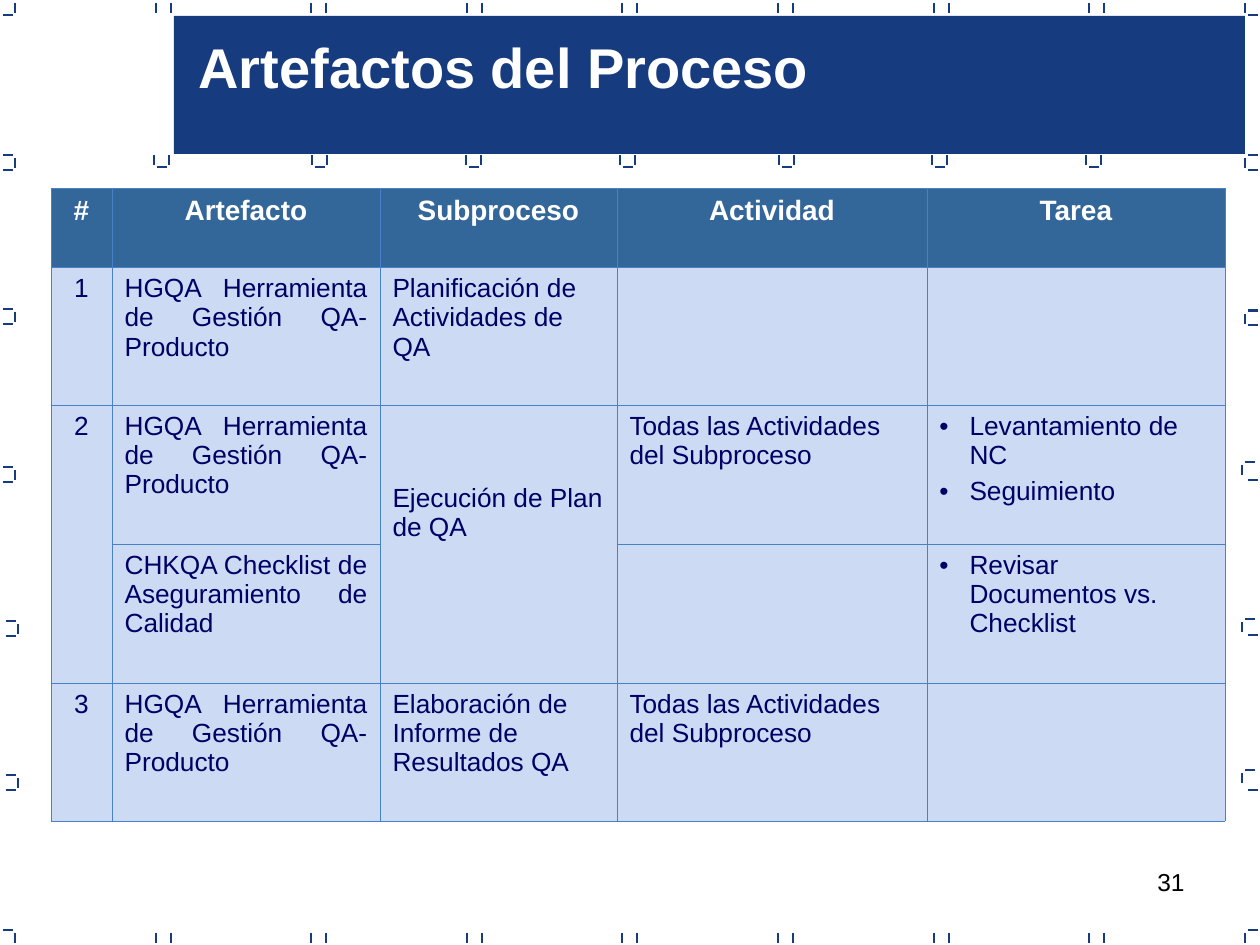
from dataclasses import dataclass
from itertools import product
from typing import NamedTuple

from lxml.etree import SubElement
from pptx import Presentation
from pptx.dml.color import RGBColor as Rgb
from pptx.enum.shapes import MSO_CONNECTOR as Connector, MSO_SHAPE as Shape
from pptx.enum.text import PP_ALIGN as Align
from pptx.oxml.ns import qn
from pptx.util import Emu, Pt

EMU_PER_PX = 914400 / 126


@dataclass(frozen=True)
class Theme:
    font: str = "Arial"
    navy: str = "163B7F"
    header: str = "336699"
    body: str = "CDDAF3"
    border: str = "4782C9"
    ink: str = "000066"
    white: str = "FFFFFF"
    black: str = "000000"
    title_size: int = 32
    header_size: int = 16
    body_size: int = 15
    number_size: int = 14
    mark_width: float = 0.75
    border_width: float = 0.45


THEME = Theme()


class Mark(NamedTuple):
    x: int
    y: int
    sides: str


class Style(NamedTuple):
    size: int
    color: str
    align: Align = Align.LEFT
    bold: bool = False
    before: float = 0
    after: float = 0
    bullet: bool = False


class Entry(NamedTuple):
    row: int
    column: int
    lines: tuple[str, ...]
    style: Style
    top: int = 7


MARK_SIZE, MARK_START, MARK_END = 15, 3, 13
SIDES = {
    "L": (0, MARK_START, 0, MARK_END),
    "R": (MARK_SIZE, MARK_START, MARK_SIZE, MARK_END),
    "T": (MARK_START, 0, MARK_END, 0),
    "B": (MARK_START, MARK_SIZE, MARK_END, MARK_SIZE),
}
RIGHT_EDGE, BOTTOM_EDGE = 1245, 930
MARKS = [
    Mark(0, 0, "RB"),
    Mark(0, BOTTOM_EDGE, "RT"),
    Mark(RIGHT_EDGE, 0, "LB"),
    Mark(RIGHT_EDGE, BOTTOM_EDGE, "LT"),
    *(Mark(round(155.6 * step), y, "LR") for step, y in product(range(1, 8), (0, BOTTOM_EDGE))),
    *(Mark(x, 152, "LRB") for x in (154, 312, 466, 620, 779, 932, 1086)),
    *(Mark(0, y, "RTB") for y in (155, 309, 467)),
    *(Mark(3, y, "RTB") for y in (621, 775)),
    Mark(RIGHT_EDGE, 155, "LTB"),
    Mark(RIGHT_EDGE, 310, "TB"),
    Mark(RIGHT_EDGE, 311, "LT"),
    *(Mark(RIGHT_EDGE, y, "B") for y in (465, 620, 775)),
    *(Mark(1242, y, "LT") for y in (462, 619, 770)),
]

HEADING = Style(THEME.header_size, THEME.white, Align.CENTER, True, before=4)
INDEX = Style(THEME.body_size, THEME.ink, Align.CENTER, before=3.7)
ARTIFACT = Style(THEME.body_size, THEME.ink, Align.JUSTIFY, before=7.1, after=7.1)
CHECKLIST = ARTIFACT._replace(before=3.7, after=0)
PLAIN = Style(THEME.body_size, THEME.ink, before=3.7)
TASK = PLAIN._replace(bullet=True)

HEADINGS = ("#", "Artefacto", "Subproceso", "Actividad", "Tarea")
TOOL = ("HGQA Herramienta de Gestión QA-Producto",)
ALL_ACTIVITIES = ("Todas las Actividades del Subproceso",)
COLUMN_WIDTHS = (61, 268, 237, 310, 298)
ROW_HEIGHTS = (79, 138, 139, 139, 138)
ENTRIES = [
    *(Entry(0, column, (heading,), HEADING) for column, heading in enumerate(HEADINGS)),
    *(Entry(row, 0, (number,), INDEX) for row, number in ((1, "1"), (2, "2"), (4, "3"))),
    *(Entry(row, 1, TOOL, ARTIFACT) for row in (1, 2, 4)),
    Entry(3, 1, ("CHKQA Checklist de Aseguramiento de Calidad",), CHECKLIST),
    Entry(1, 2, ("Planificación de Actividades de QA",), PLAIN),
    Entry(2, 2, ("Ejecución de Plan de QA",), PLAIN, top=79),
    Entry(4, 2, ("Elaboración de Informe de Resultados QA",), PLAIN),
    *(Entry(row, 3, ALL_ACTIVITIES, PLAIN) for row in (2, 4)),
    Entry(2, 4, ("Levantamiento de NC", "Seguimiento"), TASK),
    Entry(3, 4, ("Revisar Documentos vs. Checklist",), TASK),
]


def px(length: int) -> Emu:
    return Emu(round(length * EMU_PER_PX))


def add_bullet(paragraph, color: str) -> None:
    properties = paragraph._p.get_or_add_pPr()
    properties.set("marL", str(px(30)))
    properties.set("indent", str(-px(30)))
    SubElement(SubElement(properties, qn("a:buClr")), qn("a:srgbClr"), val=color)
    SubElement(properties, qn("a:buFont"), typeface=THEME.font)
    SubElement(properties, qn("a:buChar"), char="•")


def write(frame, lines: tuple[str, ...], style: Style) -> None:
    frame.text = "\n".join(lines)
    for paragraph in frame.paragraphs:
        paragraph.alignment = style.align
        paragraph.space_before = Pt(style.before)
        paragraph.space_after = Pt(style.after)
        if style.bullet:
            add_bullet(paragraph, style.color)
        font = paragraph.font
        font.name, font.size, font.bold = THEME.font, Pt(style.size), style.bold
        font.color.rgb = Rgb.from_string(style.color)


def add_label(slide, box: tuple[int, int, int, int], text: str, style: Style) -> None:
    frame = slide.shapes.add_textbox(*map(px, box)).text_frame
    frame.word_wrap = True
    write(frame, (text,), style)


def draw_mark(slide, mark: Mark) -> None:
    for side in mark.sides:
        x1, y1, x2, y2 = SIDES[side]
        ends = (mark.x + x1, mark.y + y1, mark.x + x2, mark.y + y2)
        stroke = slide.shapes.add_connector(Connector.STRAIGHT, *map(px, ends))
        stroke.line.color.rgb = Rgb.from_string(THEME.navy)
        stroke.line.width = Pt(THEME.mark_width)
        SubElement(stroke._element.spPr, qn("a:effectLst"))


def draw_banner(slide) -> None:
    banner = slide.shapes.add_shape(Shape.RECTANGLE, *map(px, (174, 16, 1071, 138)))
    banner.shadow.inherit = False
    banner.fill.solid()
    banner.fill.fore_color.rgb = Rgb.from_string(THEME.navy)
    banner.line.fill.background()


def paint_cell(cell, fill: str) -> None:
    properties = cell._tc.get_or_add_tcPr()
    for edge in ("a:lnL", "a:lnR", "a:lnT", "a:lnB"):
        border = SubElement(properties, qn(edge), w=str(Pt(THEME.border_width)))
        SubElement(SubElement(border, qn("a:solidFill")), qn("a:srgbClr"), val=THEME.border)
    cell.fill.solid()
    cell.fill.fore_color.rgb = Rgb.from_string(fill)


def draw_artifacts(slide) -> None:
    box = (51, 188, sum(COLUMN_WIDTHS), sum(ROW_HEIGHTS))
    artifacts = slide.shapes.add_table(len(ROW_HEIGHTS), len(COLUMN_WIDTHS), *map(px, box)).table
    artifacts.first_row = artifacts.horz_banding = False
    for column, width in zip(artifacts.columns, COLUMN_WIDTHS):
        column.width = px(width)
    for row, height in zip(artifacts.rows, ROW_HEIGHTS):
        row.height = px(height)
    for row, column in product(range(len(ROW_HEIGHTS)), range(len(COLUMN_WIDTHS))):
        paint_cell(artifacts.cell(row, column), THEME.body if row else THEME.header)
    for column in (0, 2):
        artifacts.cell(2, column).merge(artifacts.cell(3, column))
    for entry in ENTRIES:
        cell = artifacts.cell(entry.row, entry.column)
        cell.margin_top = px(entry.top)
        write(cell.text_frame, entry.lines, entry.style)


def main() -> None:
    deck = Presentation()
    deck.slide_width, deck.slide_height = px(1260), px(945)
    slide = deck.slides.add_slide(deck.slide_layouts[6])
    page_style = Style(THEME.number_size, THEME.black, Align.RIGHT)
    add_label(slide, (903, 861, 294, 66), "31", page_style)
    draw_banner(slide)
    for mark in MARKS:
        draw_mark(slide, mark)
    title_style = Style(THEME.title_size, THEME.white, bold=True)
    add_label(slide, (186, 26, 650, 81), "Artefactos del Proceso", title_style)
    draw_artifacts(slide)
    deck.save("out.pptx")


if __name__ == "__main__":
    main()
